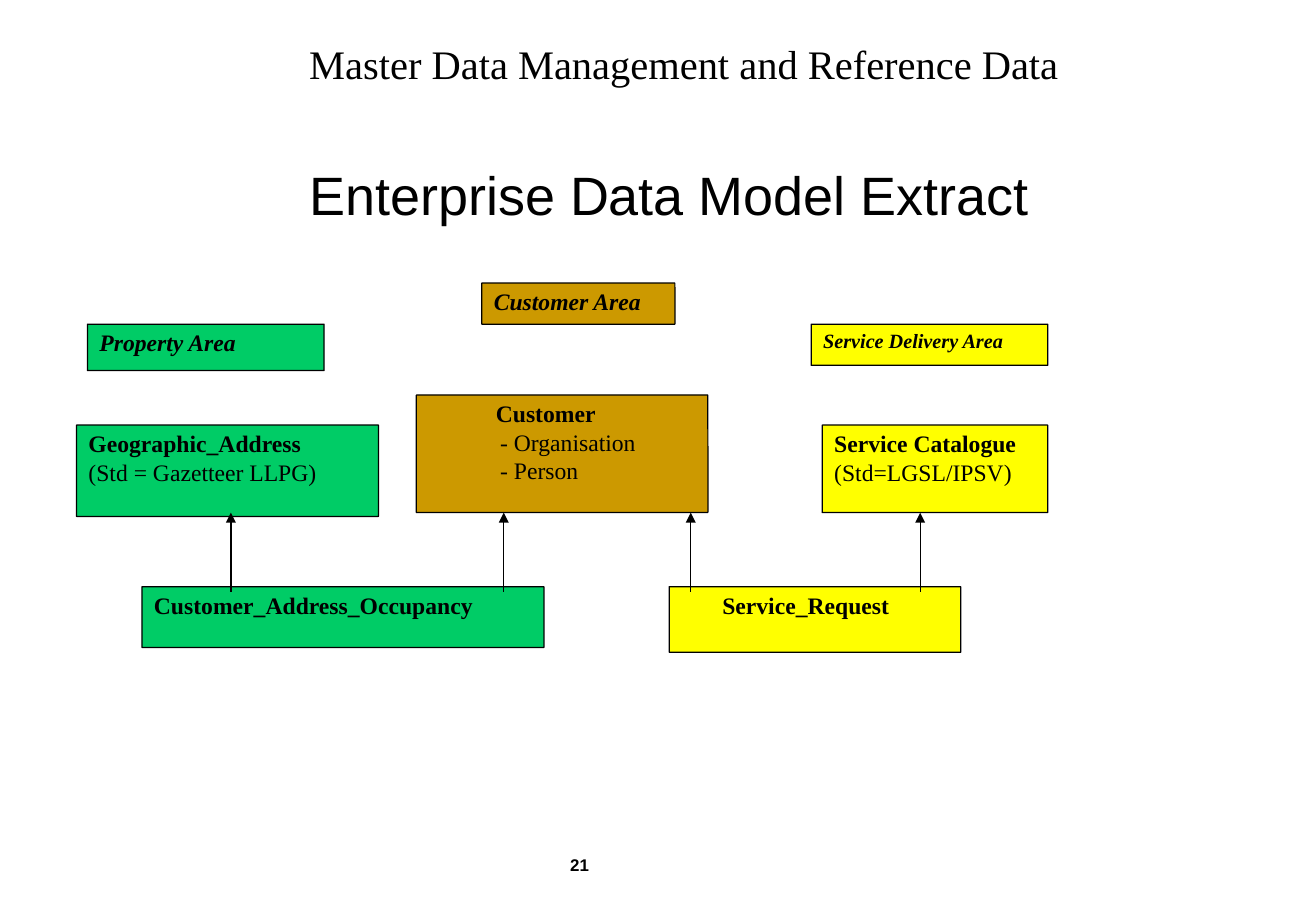
from lxml.etree import SubElement
from pptx import Presentation
from pptx.dml.color import RGBColor
from pptx.enum.shapes import MSO_CONNECTOR as Link, MSO_SHAPE as Form
from pptx.enum.text import MSO_ANCHOR as Anchor, PP_ALIGN as Align
from pptx.oxml.ns import qn
from pptx.util import Cm, Pt

BLACK = RGBColor(0x00, 0x00, 0x00)
GREEN = RGBColor(0x00, 0xCC, 0x66)
GOLD = RGBColor(0xCC, 0x99, 0x00)
YELLOW = RGBColor(0xFF, 0xFF, 0x00)
SERIF = "Times New Roman"
SANS = "Arial"

AREAS = [
    ("Customer Area", 14, GOLD, (10.08, 5.92, 4.04, 0.86)),
    ("Property Area", 14, GREEN, (1.83, 6.78, 4.95, 0.97)),
    ("Service Delivery Area", 12, YELLOW, (16.97, 6.78, 4.95, 0.86)),
]
TABLES = [
    ("Customer", 1.41, ["- Organisation", "- Person"], GOLD, (8.71, 8.26, 6.1, 2.46)),
    ("Geographic_Address", 0, ["(Std = Gazetteer LLPG)"], GREEN, (1.6, 8.89, 6.32, 1.91)),
    ("Service Catalogue", 0, ["(Std=LGSL/IPSV)"], YELLOW, (17.2, 8.89, 4.72, 1.83)),
    ("Customer_Address_Occupancy", 0, [], GREEN, (2.97, 12.27, 8.41, 1.27)),
    ("Service_Request", 0.86, [], YELLOW, (14, 12.27, 6.1, 1.37)),
]
ARROWS = [4.83, 10.54, 14.45, 19.25]
FOOT, TIP = 12.37, 10.72


def add_line(frame, text, size, font=SERIF, bold=False, italic=False,
             indent=0, space=1.0, before=0):
    """Add one paragraph holding a single run."""
    first = frame.paragraphs[0]
    para = first if not first.runs else frame.add_paragraph()
    para.alignment = Align.LEFT
    para.line_spacing = space
    if before:
        para.space_before = Pt(before)
    if indent:
        para._p.get_or_add_pPr().set("marL", str(Cm(indent)))
    run = para.add_run()
    run.text = text
    run.font.name = font
    run.font.size = Pt(size)
    run.font.bold = bold
    run.font.italic = italic
    run.font.color.rgb = BLACK


def add_box(slide, fill, place):
    """Add an outlined box and return its text frame."""
    box = slide.shapes.add_shape(Form.ROUNDED_RECTANGLE, *map(Cm, place))
    box.adjustments[0] = 0.005
    box.shadow.inherit = False
    box.fill.solid()
    box.fill.fore_color.rgb = fill
    box.line.color.rgb = BLACK
    box.line.width = Pt(0.75)
    frame = box.text_frame
    frame.word_wrap = True
    frame.vertical_anchor = Anchor.TOP
    return frame


def add_label(slide, place):
    """Add a wrapping text box and return its text frame."""
    frame = slide.shapes.add_textbox(*map(Cm, place)).text_frame
    frame.word_wrap = True
    return frame


def add_arrow(slide, left):
    """Add an upward arrow between the two rows of tables."""
    arrow = slide.shapes.add_connector(
        Link.STRAIGHT, Cm(left), Cm(FOOT), Cm(left), Cm(TIP))
    arrow.line.color.rgb = BLACK
    arrow.line.width = Pt(0.75)
    SubElement(arrow.line._get_or_add_ln(), qn("a:tailEnd"), type="triangle")
    SubElement(arrow._element.spPr, qn("a:effectLst"))


def main():
    """Build the data model slide."""
    deck = Presentation()
    deck.slide_width, deck.slide_height = Cm(27.53), Cm(19.05)
    slide = deck.slides.add_slide(deck.slide_layouts[6])

    title = add_label(slide, (1.14, 0.79, 25.45, 4.04))
    add_line(title, "Master Data Management and Reference Data", 24,
             indent=5.08, space=0.93)
    add_line(title, "Enterprise Data Model Extract", 32, SANS,
             indent=5.08, space=0.93, before=46.5)

    for name, size, fill, place in AREAS:
        frame = add_box(slide, fill, place)
        add_line(frame, name, size, bold=True, italic=True, space=0.95)

    for name, indent, notes, fill, place in TABLES:
        frame = add_box(slide, fill, place)
        add_line(frame, name, 14, bold=True, indent=indent, space=0.95)
        for note in notes:
            add_line(frame, note, 14, indent=indent and indent + 0.09)

    for left in ARROWS:
        add_arrow(slide, left)

    number = add_label(slide, (11.68, 17.78, 1.6, 0.66))
    add_line(number, "21", 10, SANS, bold=True, space=0.93)
    deck.save("out.pptx")


if __name__ == "__main__":
    main()
